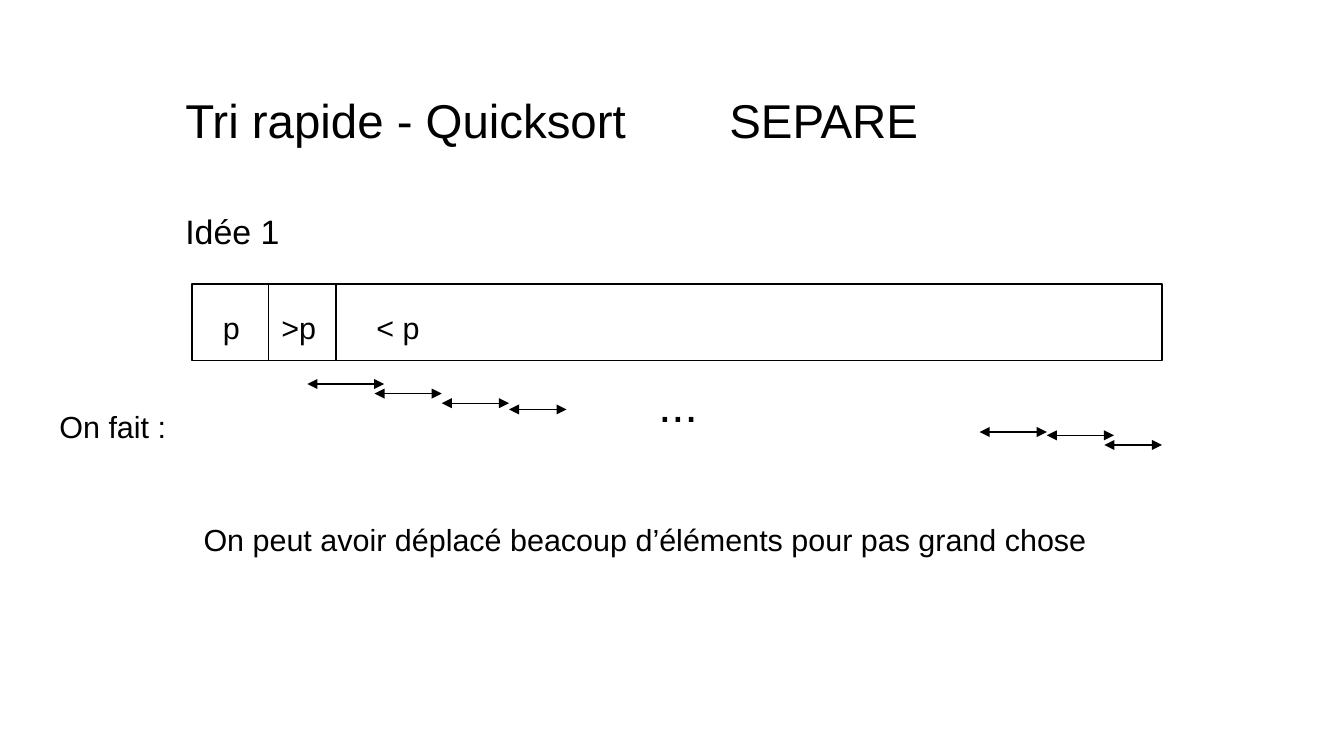
"""Build the quicksort slide that shows the first partitioning idea."""
from dataclasses import dataclass

import pptx
import pptx.dml.color
import pptx.enum.shapes
import pptx.enum.text
import pptx.oxml.ns
import pptx.shapes.autoshape
import pptx.shapes.connector
import pptx.slide
import pptx.util
from lxml import etree

Cm = pptx.util.Cm
COLOURS = {"ink": "000000", "paper": "FFFFFF"}
FONT = "Arial"
LINE_WIDTH = 0.75
ARRAY_LEFT, ARRAY_TOP, ARRAY_WIDTH, ARRAY_HEIGHT = 4, 5.92, 20.2, 1.6


@dataclass
class Label:
    text: str
    left: float
    top: float
    width: float
    height: float
    size: float = 18
    inset_top: float = 0.13
    tabs: tuple[float, ...] = ()
    wrap: bool = True


@dataclass
class Swap:
    left: float
    right: float
    y: float


TITLE = Label("Tri rapide - Quicksort\tSEPARE", 3.61, 1.8, 19.61, 1.6, 28, 0.2, (11.33,))
LABELS = [
    Label("Idée 1", 3.61, 4.34, 5, 1.1, 20),
    Label("On peut avoir déplacé beacoup d’éléments pour pas grand chose",
          3.99, 10.8, 23, 1.68),
    Label("p\t>p\t< p", 4.39, 6.32, 17.8, 0.97, inset_top=0.18, tabs=(1.22, 3.2)),
    Label("...", 13.46, 7.8, 1.32, 1.35, 28, wrap=False),
    Label("On fait :", 0.99, 8.43, 5.59, 0.97),
]
DIVIDERS = [5.6, 7]
SWAPS = [
    Swap(6.4, 8, 8),
    Swap(7.8, 9.2, 8.2),
    Swap(9.2, 10.6, 8.4),
    Swap(10.6, 11.8, 8.53),
    Swap(20.4, 21.8, 9),
    Swap(21.8, 23.2, 9.07),
    Swap(23, 24.2, 9.27),
]


def colour(name: str) -> pptx.dml.color.RGBColor:
    """Return a named colour."""
    return pptx.dml.color.RGBColor.from_string(COLOURS[name])


def write_label(box: pptx.shapes.autoshape.Shape, label: Label) -> None:
    """Place a box and write its label."""
    box.left, box.top = Cm(label.left), Cm(label.top)
    box.width, box.height = Cm(label.width), Cm(label.height)
    frame = box.text_frame
    frame.word_wrap = label.wrap
    frame.auto_size = pptx.enum.text.MSO_AUTO_SIZE.NONE
    frame.vertical_anchor = pptx.enum.text.MSO_ANCHOR.TOP
    frame.margin_left = frame.margin_right = Cm(0.25)
    frame.margin_top, frame.margin_bottom = Cm(label.inset_top), Cm(0.13)
    para = frame.paragraphs[0]
    para.text = label.text
    para.alignment = pptx.enum.text.PP_ALIGN.LEFT
    para.line_spacing = 0.93
    if label.tabs:
        qn = pptx.oxml.ns.qn
        properties = para._p.get_or_add_pPr()
        stops = etree.SubElement(properties, qn("a:tabLst"))
        for position in label.tabs:
            etree.SubElement(stops, qn("a:tab"), pos=str(Cm(position)), algn="l")
    para.font.name = FONT
    para.font.size = pptx.util.Pt(label.size)
    para.font.color.rgb = colour("ink")


def add_line(page: pptx.slide.Slide, left: float, top: float, right: float,
             bottom: float, arrows: bool = False) -> pptx.shapes.connector.Connector:
    """Draw a thin line, with arrowheads at both ends if asked."""
    qn = pptx.oxml.ns.qn
    line = page.shapes.add_connector(
        pptx.enum.shapes.MSO_CONNECTOR.STRAIGHT,
        Cm(left), Cm(top), Cm(right), Cm(bottom))
    line.line.color.rgb = colour("ink")
    line.line.width = pptx.util.Pt(LINE_WIDTH)
    if arrows:
        for end in ("a:headEnd", "a:tailEnd"):
            etree.SubElement(line.line._get_or_add_ln(), qn(end), type="triangle")
    etree.SubElement(line._element.spPr, qn("a:effectLst"))
    return line


def add_array(page: pptx.slide.Slide) -> None:
    """Draw the array and the dividers between its parts."""
    array = page.shapes.add_shape(
        pptx.enum.shapes.MSO_SHAPE.RECTANGLE,
        Cm(ARRAY_LEFT), Cm(ARRAY_TOP), Cm(ARRAY_WIDTH), Cm(ARRAY_HEIGHT))
    array.shadow.inherit = False
    array.fill.solid()
    array.fill.fore_color.rgb = colour("paper")
    array.line.color.rgb = colour("ink")
    array.line.width = pptx.util.Pt(LINE_WIDTH)
    for x in DIVIDERS:
        add_line(page, x, ARRAY_TOP, x, ARRAY_TOP + ARRAY_HEIGHT)


def main() -> None:
    """Build and save the deck."""
    deck = pptx.Presentation()
    deck.slide_width, deck.slide_height = Cm(27.99), Cm(15.75)
    page = deck.slides.add_slide(deck.slide_layouts.get_by_name("Title Only"))
    write_label(page.shapes.title, TITLE)
    add_array(page)
    for label in LABELS:
        write_label(page.shapes.add_textbox(0, 0, 0, 0), label)
    for swap in SWAPS:
        add_line(page, swap.left, swap.y, swap.right, swap.y, arrows=True)
    deck.save("out.pptx")


if __name__ == "__main__":
    main()
